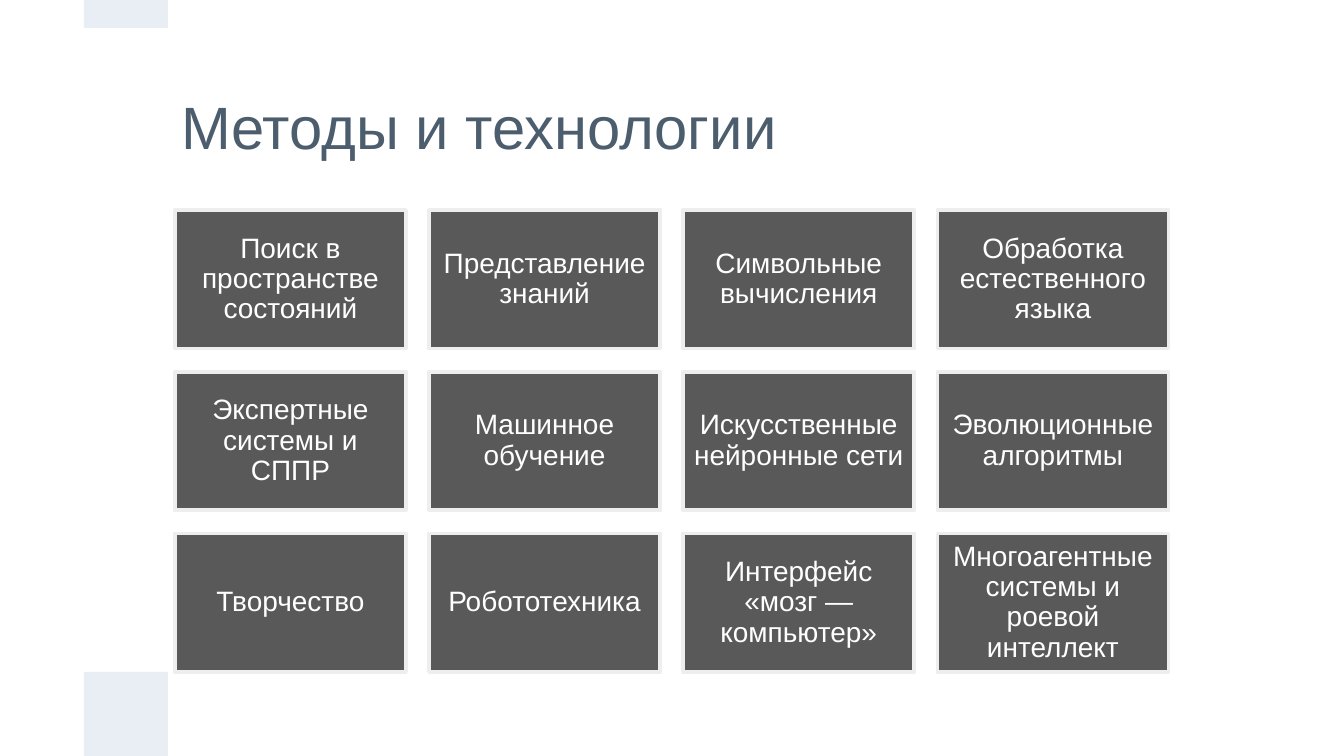
from pptx import Presentation
from pptx.dml.color import RGBColor
from pptx.enum.shapes import MSO_SHAPE
from pptx.enum.text import MSO_ANCHOR, PP_ALIGN
from pptx.util import Pt

RECTANGLE = MSO_SHAPE.RECTANGLE
MIDDLE = MSO_ANCHOR.MIDDLE
LEFT, CENTER = PP_ALIGN.LEFT, PP_ALIGN.CENTER

SLATE = RGBColor(0x4C, 0x5D, 0x6E)
PALE_BLUE = RGBColor(0xE9, 0xED, 0xF4)
DARK_GRAY = RGBColor(0x59, 0x59, 0x59)
LIGHT_GRAY = RGBColor(0xEE, 0xEE, 0xEE)
WHITE = RGBColor(0xFF, 0xFF, 0xFF)

FONT = "Arial"
TITLE = "Методы и технологии"
METHODS = [
    ["Поиск в пространстве состояний", "Представление знаний",
     "Символьные вычисления", "Обработка естественного языка"],
    ["Экспертные системы и СППР", "Машинное обучение",
     "Искусственные нейронные сети", "Эволюционные алгоритмы"],
    ["Творчество", "Робототехника",
     "Интерфейс «мозг — компьютер»", "Многоагентные системы и роевой интеллект"],
]

GRID_LEFT, GRID_TOP = 93.75, 112.5
CARD_WIDTH, CARD_HEIGHT = 123.75, 74.25
CARD_GAP = 12.4


def write_text(shape, text, *, size, color, align=LEFT, inset=7.2, line_spacing=1.0):
    frame = shape.text_frame
    frame.word_wrap = True
    frame.vertical_anchor = MIDDLE
    frame.margin_left = frame.margin_right = Pt(inset)
    frame.margin_top = frame.margin_bottom = Pt(inset)
    paragraph = frame.paragraphs[0]
    paragraph.alignment = align
    paragraph.line_spacing = line_spacing
    run = paragraph.add_run()
    run.text = text
    run.font.name = FONT
    run.font.size = Pt(size)
    run.font.color.rgb = color


def add_rectangle(slide, left, top, width, height, fill, border=None):
    rectangle = slide.shapes.add_shape(
        RECTANGLE, Pt(left), Pt(top), Pt(width), Pt(height))
    rectangle.shadow.inherit = False
    rectangle.fill.solid()
    rectangle.fill.fore_color.rgb = fill
    if border is None:
        rectangle.line.fill.background()
    else:
        rectangle.line.color.rgb = border
        rectangle.line.width = Pt(2)
    return rectangle


def add_title(slide):
    title = slide.shapes.add_textbox(Pt(90), Pt(45), Pt(540), Pt(45))
    write_text(title, TITLE, size=32, color=SLATE)


def add_method_grid(slide):
    for row, methods in enumerate(METHODS):
        top = GRID_TOP + row * (CARD_HEIGHT + CARD_GAP)
        for column, method in enumerate(methods):
            left = GRID_LEFT + column * (CARD_WIDTH + CARD_GAP)
            card = add_rectangle(slide, left, top, CARD_WIDTH, CARD_HEIGHT,
                                 DARK_GRAY, LIGHT_GRAY)
            write_text(card, method, size=15, color=WHITE, align=CENTER,
                       inset=4.5, line_spacing=0.9)


def main():
    presentation = Presentation()
    presentation.slide_width = Pt(720)
    presentation.slide_height = Pt(405)
    slide = presentation.slides.add_slide(presentation.slide_layouts[6])

    add_title(slide)
    for top, height in ((360, 45), (0, 15)):
        add_rectangle(slide, 45, top, 45, height, PALE_BLUE)
    add_method_grid(slide)

    presentation.save("out.pptx")


if __name__ == "__main__":
    main()
